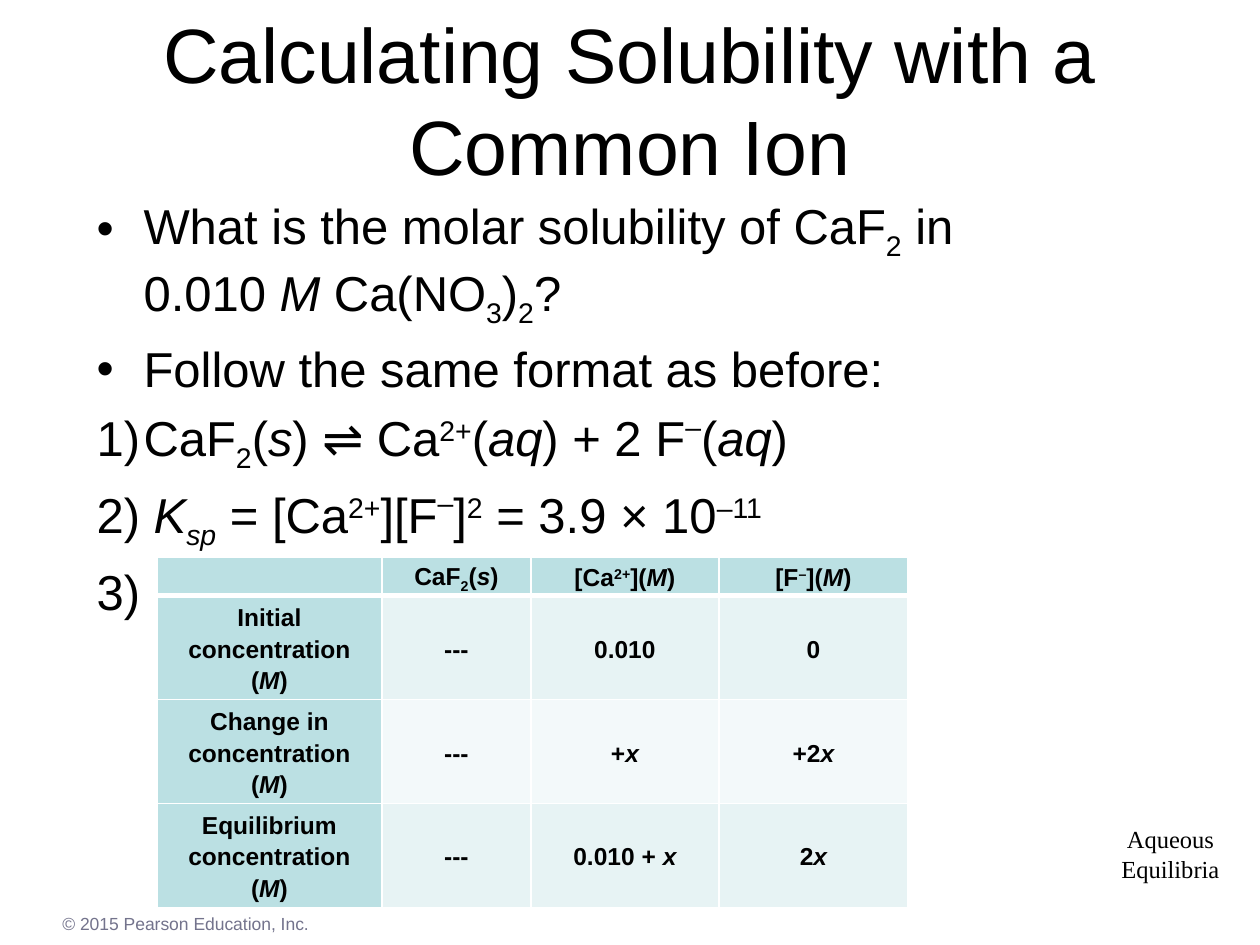
import pptx
import pptx.util
import pptx.dml.color
import pptx.enum.text
import pptx.oxml.ns
from dataclasses import dataclass
from lxml import etree

# Content. Runs are split at "|"; leading marks: / italic, _ subscript,
# ^ superscript, ` raised superscript.
TITLE = "Calculating Solubility with a Common Ion"
BODY = [
    ("bullet", "What is the molar solubility of CaF|_2| in\v0.010 |/M| Ca(NO|_3|)|_2|?"),
    ("bullet", "Follow the same format as before:"),
    ("number", "CaF|_2|(|/s|) ⇌ Ca|^2+|(|/aq|) + 2 F|`–|(|/aq|)"),
    ("plain", "2) |/K|_/sp| = [Ca|^2+|][F|`–|]|^2| = 3.9 × 10|^–11"),
    ("plain", "3)"),
]
TABLE = [
    ["", "CaF|_2|(|/s|)", "[Ca|^2+|](|/M|)", "[F|^–|](|/M|)"],
    ["Initial concentration\n(|/M|)", "---", "0.010", "0"],
    ["Change in concentration\n(|/M|)", "---", "+|/x", "+2|/x"],
    ["Equilibrium concentration\n(|/M|)", "---", "0.010 + |/x", "2|/x"],
]
CHAPTER = "Aqueous\nEquilibria"
COPYRIGHT = "© 2015 Pearson Education, Inc."

# Places in px
SLIDE = (1260, 945)
TITLE_BOX = (0, 4, 1260, 189)
BODY_BOX = (84, 189, 1061, 599)
CHAPTER_BOX = (1109, 818, 123, 72)
COPYRIGHT_BOX = (50, 907, 1134, 34)
TABLE_AT = (157, 557)
COLUMNS = [225, 149, 188, 189]
ROWS = [35, 104, 104, 104]
BODY_INDENT = 47
CELL_INSET = 9


@dataclass(frozen=True)
class Theme:
    sans: str = "Arial"
    serif: str = "Times New Roman"
    ink: str = "000000"
    muted: str = "73738C"
    head: str = "BBE0E3"
    bands: tuple = ("E7F3F4", "F3F9FA")
    rule: str = "FFFFFF"
    title: int = 44
    body: int = 28
    small: int = 14
    note: int = 10


theme = Theme()
CENTER = pptx.enum.text.PP_ALIGN.CENTER
MIDDLE = pptx.enum.text.MSO_ANCHOR.MIDDLE
BASELINES = {"_": "-25000", "^": "30000", "`": "40000"}
BULLETS = {
    "bullet": ("a:buChar", {"char": "•"}),
    "number": ("a:buAutoNum", {"type": "arabicParenR"}),
    "plain": ("a:buNone", {}),
}


def px(length):
    return pptx.util.Emu(round(length * 914400 / 126))


def rgb(value):
    return pptx.dml.color.RGBColor.from_string(value)


def add_element(parent, tag, **attributes):
    return etree.SubElement(parent, pptx.oxml.ns.qn(tag), attributes)


def set_all(target, values):
    for name, value in values.items():
        setattr(target, name, value)


def place(shape, box):
    set_all(shape, dict(zip(("left", "top", "width", "height"), map(px, box))))


def write(paragraph, markup, size, face=theme.sans, color=theme.ink, bold=False):
    for part in markup.split("|"):
        text = part.lstrip("/_^`")
        marks = part[:len(part) - len(text)]
        for index, line in enumerate(text.split("\v")):
            if index:
                paragraph.add_line_break()
            run = paragraph.add_run()
            run.text = line
            set_all(run.font, {"size": pptx.util.Pt(size), "name": face,
                               "bold": bold, "italic": "/" in marks})
            run.font.color.rgb = rgb(color)
            for mark in marks.replace("/", ""):
                run.font._element.set("baseline", BASELINES[mark])


def write_lines(frame, text, align=None, spacing=None, **style):
    for index, line in enumerate(text.split("\n")):
        paragraph = frame.add_paragraph() if index else frame.paragraphs[0]
        set_all(paragraph, {"alignment": align, "line_spacing": spacing})
        write(paragraph, line, **style)


def format_cell(cell, row, column):
    set_all(cell, {"margin_left": px(CELL_INSET), "margin_right": px(CELL_INSET),
                   "margin_top": 0, "margin_bottom": 0, "vertical_anchor": MIDDLE})
    # The rule under the header row is thicker
    thick = {(0, "B"), (1, "T")}
    for side in "LRTB":
        width = pptx.util.Pt(3 if (row, side) in thick else 1)
        line = add_element(cell._tc.get_or_add_tcPr(), "a:ln" + side, w=str(width))
        add_element(add_element(line, "a:solidFill"), "a:srgbClr", val=theme.rule)
    is_head = row == 0 or column == 0
    cell.fill.solid()
    cell.fill.fore_color.rgb = rgb(theme.head if is_head else theme.bands[(row - 1) % 2])


def add_title(slide):
    title = slide.shapes.title
    place(title, TITLE_BOX)
    set_all(title.text_frame, {"vertical_anchor": MIDDLE, "word_wrap": True,
                               "auto_size": pptx.enum.text.MSO_AUTO_SIZE.NONE})
    write_lines(title.text_frame, TITLE, CENTER, size=theme.title)


def add_body(slide):
    body = slide.placeholders[1]
    place(body, BODY_BOX)
    frame = body.text_frame
    frame.auto_size = pptx.enum.text.MSO_AUTO_SIZE.NONE
    for index, (kind, markup) in enumerate(BODY):
        paragraph = frame.add_paragraph() if index else frame.paragraphs[0]
        properties = paragraph._p.get_or_add_pPr()
        indent = 0 if kind == "plain" else px(BODY_INDENT)
        properties.set("marL", str(indent))
        properties.set("indent", str(-indent))
        tag, attributes = BULLETS[kind]
        add_element(properties, tag, **attributes)
        paragraph.space_before = pptx.util.Pt(0.2 * theme.body if index else 0)
        write(paragraph, markup, theme.body)


def add_concentrations(slide):
    frame = slide.shapes.add_table(len(ROWS), len(COLUMNS), *map(px, TABLE_AT),
                                   px(sum(COLUMNS)), px(sum(ROWS)))
    table = frame.table
    for column, width in zip(table.columns, COLUMNS):
        column.width = px(width)
    for row, height in zip(table.rows, ROWS):
        row.height = px(height)
    for r, texts in enumerate(TABLE):
        for c, text in enumerate(texts):
            cell = table.cell(r, c)
            format_cell(cell, r, c)
            if text:
                write_lines(cell.text_frame, text, CENTER, 1.15, size=theme.small, bold=True)
            else:
                add_element(cell.text_frame.paragraphs[0]._p, "a:endParaRPr",
                            sz=str(theme.small * 100))


def add_label(slide, box, text, wrap, align=None, **style):
    label = slide.shapes.add_textbox(*map(px, box))
    label.text_frame.word_wrap = wrap
    write_lines(label.text_frame, text, align, **style)


def main():
    deck = pptx.Presentation()
    deck.slide_width, deck.slide_height = map(px, SLIDE)
    slide = deck.slides.add_slide(deck.slide_layouts[1])
    add_label(slide, CHAPTER_BOX, CHAPTER, False, CENTER, size=theme.small, face=theme.serif)
    add_label(slide, COPYRIGHT_BOX, COPYRIGHT, True, size=theme.note, color=theme.muted)
    add_title(slide)
    add_body(slide)
    add_concentrations(slide)
    deck.save("out.pptx")


if __name__ == "__main__":
    main()
